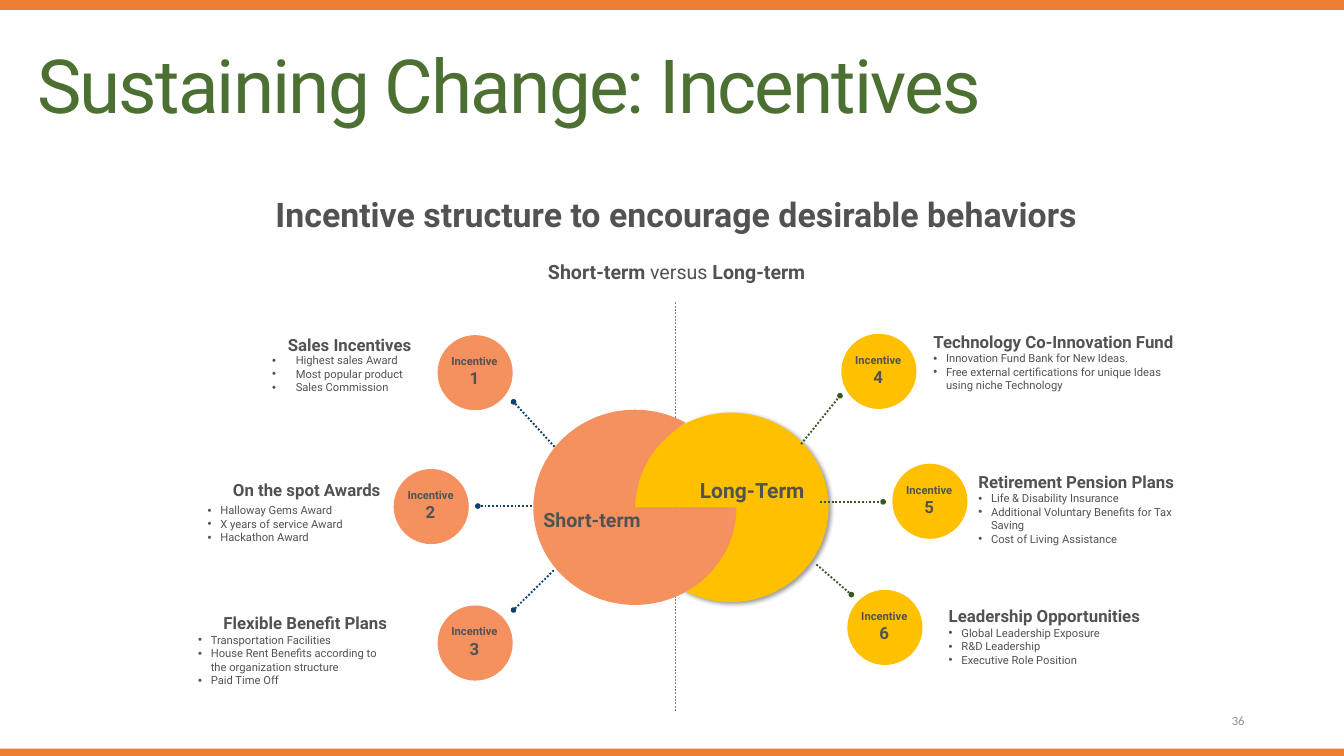
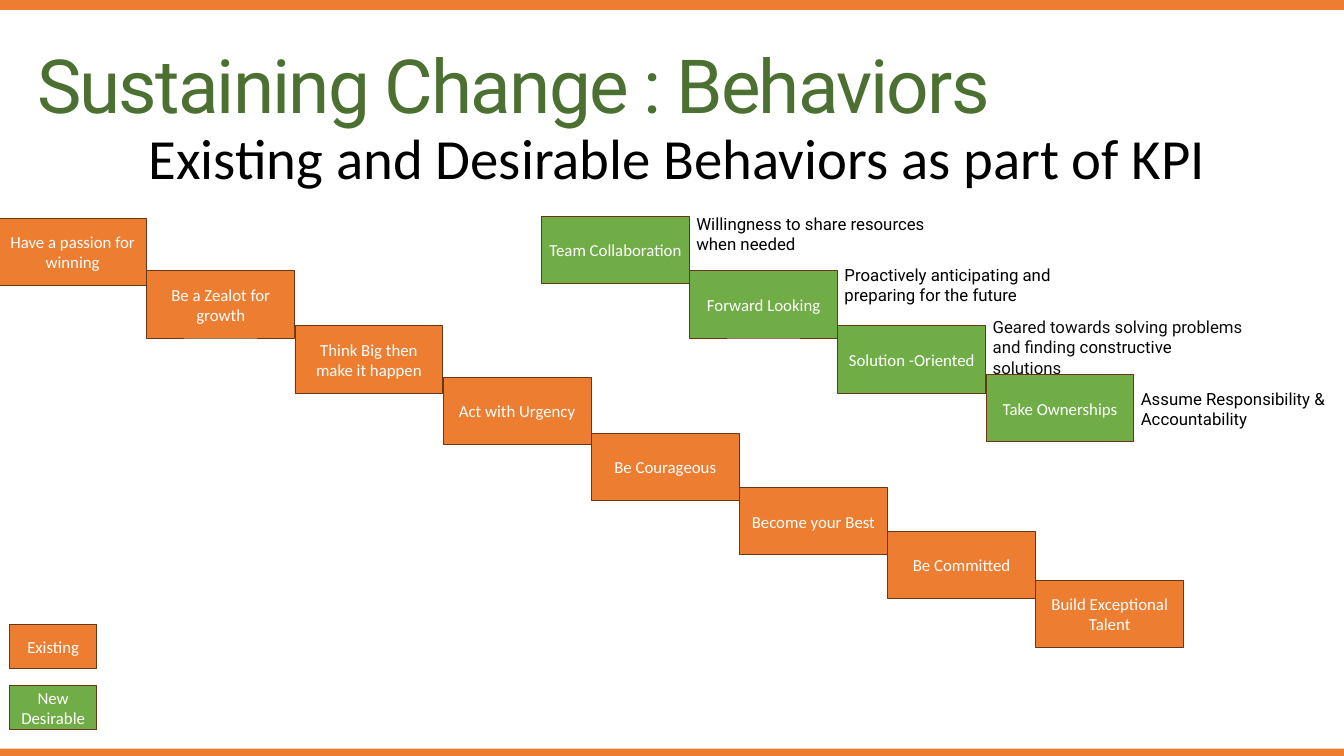
from math import cos, radians, sin

from lxml import etree
from pptx import Presentation
from pptx.dml.color import RGBColor
from pptx.enum.dml import MSO_LINE
from pptx.enum.shapes import MSO_CONNECTOR, MSO_SHAPE
from pptx.enum.text import MSO_ANCHOR, MSO_AUTO_SIZE, PP_ALIGN
from pptx.oxml import parse_xml
from pptx.oxml.ns import nsdecls, qn
from pptx.util import Cm, Pt

RECT, OVAL, PIE = MSO_SHAPE.RECTANGLE, MSO_SHAPE.OVAL, MSO_SHAPE.PIE
STRAIGHT = MSO_CONNECTOR.STRAIGHT
LEFT, CENTER, RIGHT = PP_ALIGN.LEFT, PP_ALIGN.CENTER, PP_ALIGN.RIGHT
TOP, MIDDLE = MSO_ANCHOR.TOP, MSO_ANCHOR.MIDDLE
DASH, DOT = MSO_LINE.DASH, MSO_LINE.ROUND_DOT

ROBOTO, CALIBRI = "Roboto", "Calibri"
ORANGE, GREEN, BROWN = "ED7D31", "70AD47", "683715"
CORAL, YELLOW = "F5915F", "FFC000"
NAVY, FOREST = "134070", "385723"
TITLE, GRAY, BLACK, WHITE = "4C7031", "525252", "000000", "FFFFFF"

rgb = RGBColor.from_string


def add_box(s, at, shape=None, fill=None, line=None, pad=0.25):
    """Add a preset shape, or a text box if no shape is given."""
    at = [Cm(v) for v in at]
    if shape is None:
        sp = s.shapes.add_textbox(*at)
    else:
        sp = s.shapes.add_shape(shape, *at)
        sp.shadow.inherit = False
        sp.fill.solid()
        sp.fill.fore_color.rgb = rgb(fill)
        if line:
            sp.line.color.rgb = rgb(line)
            sp.line.width = Pt(1)
        else:
            sp.line.fill.background()
    tf = sp.text_frame
    tf.word_wrap = True
    tf.margin_left = tf.margin_right = Cm(pad)
    tf.margin_top = tf.margin_bottom = Cm(pad / 2)
    return sp


def write(p, font, *runs, align=LEFT):
    """Add runs given as (text, size, colour, bold)."""
    p.alignment = align
    for text, size, color, bold in runs:
        r = p.add_run()
        r.text = text
        r.font.name = font
        r.font.size = Pt(size)
        r.font.bold = bold
        r.font.color.rgb = rgb(color)


prs = Presentation()
prs.slide_width, prs.slide_height = Cm(50.8), Cm(28.58)

# Titles and headings in the template's placeholders
pages = [
    ("Sustaining Change: Incentives", (1.4, 1.47, 36.25, 3.43),
     "Incentive structure to encourage desirable behaviors",
     (7.49, 6.73, 36.17, 2.26), ROBOTO, 36.3, GRAY, True, 1.3),
    ("Sustaining Change : Behaviors", (1.4, 1.47, 46.66, 3.43),
     "Existing and Desirable Behaviors as part of KPI",
     (1.5, 4.6, 48.21, 3.02), CALIBRI, 60.8, BLACK, False, 0.9),
]
slides = []
for title, title_at, heading, heading_at, font, size, color, bold, spacing in pages:
    s = prs.slides.add_slide(prs.slide_layouts[1])
    slides.append(s)
    for sp, at in ((s.shapes.title, title_at), (s.placeholders[1], heading_at)):
        sp.left, sp.top, sp.width, sp.height = [Cm(v) for v in at]
        sp.text_frame.word_wrap = True
        sp.text_frame.auto_size = MSO_AUTO_SIZE.NONE

    tf = s.shapes.title.text_frame
    tf.vertical_anchor = TOP
    tf.margin_left = tf.margin_right = tf.margin_top = tf.margin_bottom = 0
    p = tf.paragraphs[0]
    p.line_spacing = Pt(96)
    write(p, ROBOTO, (title, 80, TITLE, False))
    p.runs[0].font._element.set("spc", "-200")

    tf = s.placeholders[1].text_frame
    tf.vertical_anchor = MIDDLE
    p = tf.paragraphs[0]
    pPr = p._p.get_or_add_pPr()
    pPr.set("marL", "0")
    pPr.set("indent", "0")
    etree.SubElement(pPr, qn("a:buNone"))
    p.line_spacing = spacing
    p.space_before = Pt(0)
    write(p, font, (heading, size, color, bold), align=CENTER)

# Bands move to the master so that every slide shows them
for i, (top, height) in enumerate([(0, 0.38), (28.3, 0.28)]):
    band = add_box(slides[0], (0, top, 50.8, height), RECT, ORANGE)
    band.element.nvSpPr.cNvPr.id = 100 + i
    prs.slide_master.shapes.element.append(band.element)

# Slide 1: incentives
s = slides[0]

sp = add_box(s, (35.86, 26.49, 11.43, 1.52))
sp.text_frame.vertical_anchor = MIDDLE
write(sp.text_frame.paragraphs[0], CALIBRI, ("36", 13.5, "8C8C8C", False), align=RIGHT)

p = add_box(s, (11.53, 9.25, 28.09, 1.52), pad=0.28).text_frame.paragraphs[0]
p.line_spacing = 1.5
write(p, ROBOTO, ("Short-term", 21, GRAY, True), (" versus ", 21, GRAY, False),
      ("Long-term", 21, GRAY, True), align=CENTER)

# Divider first, so that the two large discs cover it
links = [
    (25.53, 11.43, 25.53, 26.92, "808080", 0.5, DASH),
    (20.96, 16.89, 19.41, 15.19, NAVY, 2, DOT),
    (20.09, 19.13, 18.06, 19.13, NAVY, 2, DOT),
    (20.93, 21.56, 19.41, 23.06, NAVY, 2, DOT),
    (30.28, 16.79, 31.75, 14.96, FOREST, 2, DOT),
    (31.01, 18.97, 33.38, 18.97, FOREST, 2, DOT),
    (30.86, 21.34, 32.18, 22.48, FOREST, 2, DOT),
]
discs_drawn = False
for x1, y1, x2, y2, color, width, dash in links:
    link = s.shapes.add_connector(STRAIGHT, Cm(x1), Cm(y1), Cm(x2), Cm(y2))
    link.line.color.rgb = rgb(color)
    link.line.width = Pt(width)
    link.line.dash_style = dash
    if dash == DOT:
        etree.SubElement(link.get_or_add_ln(), qn("a:tailEnd"), type="oval")
    etree.SubElement(link.element.spPr, qn("a:effectLst"))
    if discs_drawn:
        continue
    discs_drawn = True

    long_term = add_box(s, (23.93, 15.6, 7.39, 7.16), PIE, YELLOW)
    long_term.rotation = 180
    long_term.adjustments[0] = 0
    long_term.adjustments[1] = 180.48
    spPr = long_term.element.spPr
    spPr.remove(spPr.find(qn("a:effectLst")))
    spPr.append(parse_xml(
        f'<a:effectLst {nsdecls("a")}><a:outerShdw blurRad="{Pt(5)}" dist="{Pt(3)}" '
        f'dir="2700000" algn="tl" rotWithShape="0"><a:srgbClr val="{BLACK}">'
        '<a:alpha val="40000"/></a:srgbClr></a:outerShdw></a:effectLst>'))

    # Elliptic arc of 300 degrees, then a curve back to the centre
    cx, cy, rx, ry = 24, 19.18, 3.84, 3.69
    points = [(cx + rx * cos(radians(a)), cy + ry * sin(radians(a)))
              for a in range(0, 301, 3)]
    curve = [points[-1], (24.18, 17.09), (24.05, 18.52), (cx, cy)]
    for i in range(1, 21):
        t = i / 20
        weights = ((1 - t) ** 3, 3 * t * (1 - t) ** 2, 3 * t ** 2 * (1 - t), t ** 3)
        points.append([sum(w * pt[k] for w, pt in zip(weights, curve)) for k in (0, 1)])
    points = [(Cm(x), Cm(y)) for x, y in points]
    builder = s.shapes.build_freeform(*points[0])
    builder.add_line_segments(points[1:], close=True)
    short_term = builder.convert_to_shape()
    short_term.shadow.inherit = False
    short_term.fill.solid()
    short_term.fill.fore_color.rgb = rgb(CORAL)
    short_term.line.fill.background()
    tf = short_term.text_frame
    tf.vertical_anchor = MIDDLE
    tf.margin_left, tf.margin_top = Cm(0.38), Cm(1.05)
    write(tf.paragraphs[0], ROBOTO, ("Short-term", 21, GRAY, True))

p = add_box(s, (24.49, 17.86, 6.3, 1.35), pad=0.38).text_frame.paragraphs[0]
write(p, ROBOTO, ("Long-Term", 22.5, GRAY, True), align=RIGHT)

circles = [(16.54, 12.67, CORAL), (14.88, 17.73, CORAL), (16.54, 22.89, CORAL),
           (31.8, 12.62, YELLOW), (33.73, 17.53, YELLOW), (32.03, 22.3, YELLOW)]
for number, (x, y, color) in enumerate(circles, 1):
    add_box(s, (x, y, 2.84, 2.84), OVAL, color)
    p = add_box(s, (x + 0.05, y + 0.58, 2.69, 1.55), pad=0.3).text_frame.paragraphs[0]
    write(p, ROBOTO, ("Incentive ", 12, GRAY, True), (str(number), 18, GRAY, True),
          align=CENTER)

# Place, padding, heading, its alignment, bullet indent, hanging, bullets
blocks = [
    ((10.01, 13.23, 7.37, 1.83), 0.28, None, LEFT, 0.89, 0.89,
     ["Highest sales Award", "Most popular product", "Sales Commission"]),
    ((8.59, 12.45, 7.34, 1.14), 0.38, "Sales Incentives", RIGHT, 0, 0, []),
    ((7.47, 18.85, 7.32, 1.93), 0.38, None, LEFT, 0.48, 0.48,
     ["Halloway Gems Award", "X years of service Award", "Hackathon Award"]),
    ((7.52, 17.93, 7.24, 1.14), 0.38, "On the spot Awards", RIGHT, 0, 0, []),
    ((5.84, 22.99, 9.17, 3.71), 0.38, "Flexible Benefit Plans", RIGHT, 1.75, 0.48,
     ["Transportation Facilities",
      "House Rent Benefits according to the organization structure", "Paid Time Off"]),
    ((34.9, 12.34, 9.96, 3.89), 0.38, "Technology Co-Innovation Fund", LEFT, 0.48, 0.48,
     ["Innovation Fund Bank for New Ideas.",
      "Free external certifications for unique Ideas using niche Technology"]),
    ((36.73, 17.7, 8.69, 3.07), 0.25, "Retirement Pension Plans", LEFT, 0.48, 0.48,
     ["Life & Disability Insurance", "Additional Voluntary Benefits for Tax Saving",
      "Cost of Living Assistance"]),
    ((35.61, 22.78, 9.07, 2.57), 0.25, "Leadership Opportunities", LEFT, 0.48, 0.48,
     ["Global Leadership Exposure", "R&D Leadership", "Executive Role Position"]),
]
for at, pad, heading, align, indent, hanging, bullets in blocks:
    tf = add_box(s, at, pad=pad).text_frame
    p = tf.paragraphs[0]
    if heading:
        write(p, ROBOTO, (heading, 18, GRAY, True), align=align)
    for i, bullet in enumerate(bullets):
        if heading or i:
            p = tf.add_paragraph()
        pPr = p._p.get_or_add_pPr()
        pPr.set("marL", str(Cm(indent)))
        pPr.set("indent", str(-Cm(hanging)))
        etree.SubElement(pPr, qn("a:buFont"), typeface="Arial")
        etree.SubElement(pPr, qn("a:buChar"), char="•")
        write(p, ROBOTO, (bullet, 12, GRAY, False))

# Slide 2: two staircases of behaviors and a legend
s = slides[1]
STEP, STEP_W, STEP_H = 5.6, 5.59, 2.54
existing = [("Have a passion for winning", 8.26), ("Be a Zealot for growth", 10.24),
            ("Think Big then make it happen", 12.32), ("Act with Urgency", 14.27),
            ("Be Courageous", 16.38), ("Become your Best", 18.44),
            ("Be Committed", 20.09), ("Build Exceptional Talent", 21.95)]
desirable = [("Team Collaboration", 8.18), ("Forward Looking", 10.24),
             ("Solution -Oriented", 12.32), ("Take Ownerships", 14.17)]
meanings = [
    (7.95, 10.01, 1.8, [("Willingness to share resources when needed", BLACK)]),
    (9.88, 10.01, 1.8, [("Proactively anticipating and preparing for the future", BLACK)]),
    (11.86, 10.01, 2.57, [("Geared towards solving problems and finding ", "0D0D0D"),
                          ("constructive", BLACK), (" solutions", "0D0D0D")]),
    (14.58, 7.52, 1.8, [("Assume Responsibility & Accountability", BLACK)]),
]
for i, (top, width, height, runs) in enumerate(meanings):
    p = add_box(s, (26.07 + i * STEP, top, width, height)).text_frame.paragraphs[0]
    write(p, ROBOTO, *[(text, 18, color, False) for text, color in runs])

boxes = [(text, (left + i * STEP, top, STEP_W, STEP_H), color)
         for left, steps, color in ((-0.05, existing, ORANGE), (20.47, desirable, GREEN))
         for i, (text, top) in enumerate(steps)]
boxes += [("Existing", (0.36, 23.6, 3.3, 1.68), ORANGE),
          ("New Desirable", (0.36, 25.91, 3.3, 1.68), GREEN)]
for text, at, color in boxes:
    tf = add_box(s, at, RECT, color, BROWN).text_frame
    tf.vertical_anchor = MIDDLE
    write(tf.paragraphs[0], CALIBRI, (text, 18, WHITE, False), align=CENTER)

prs.save("out.pptx")
